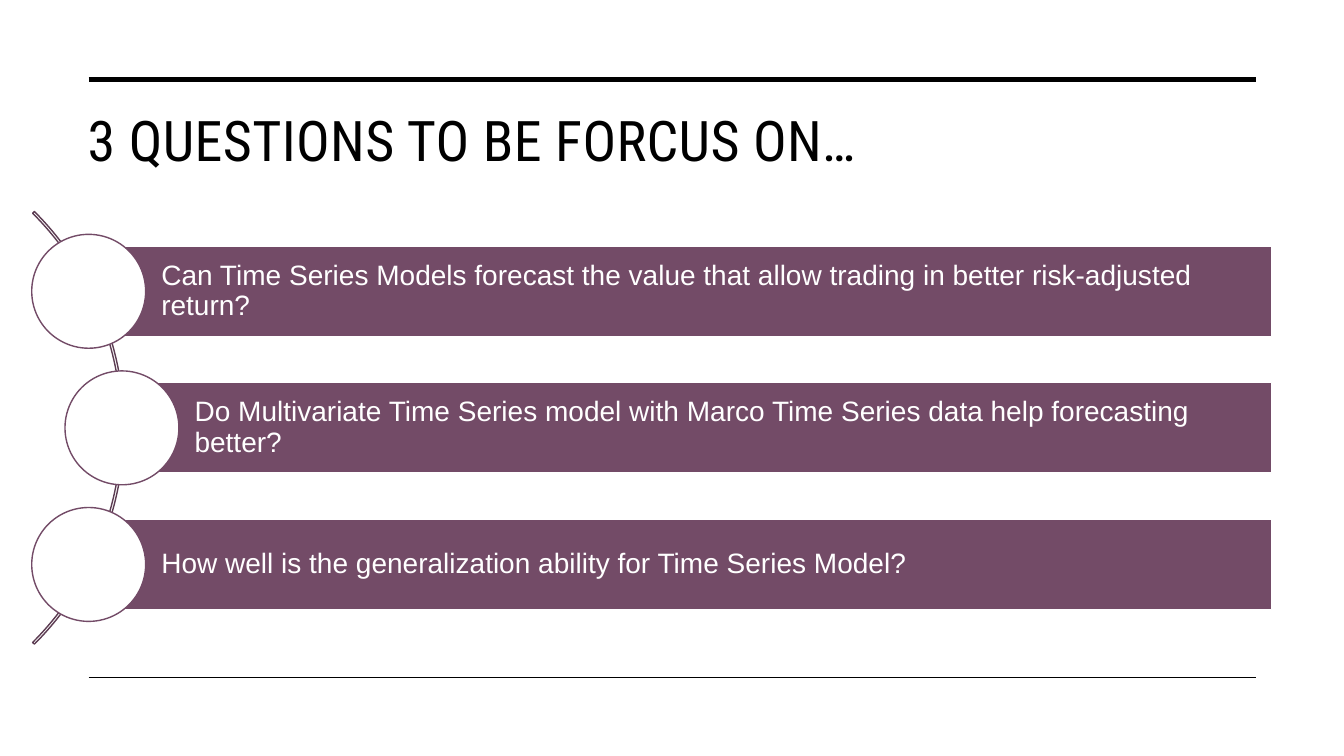
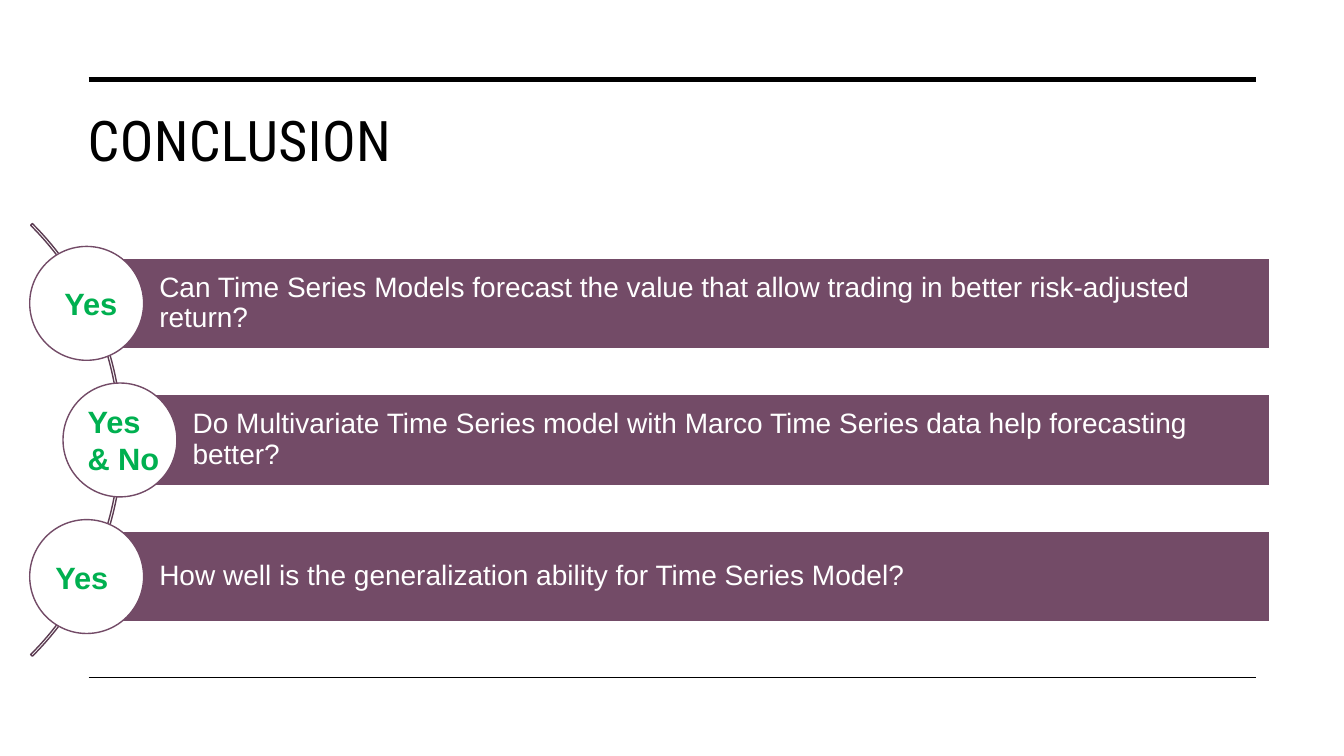
from dataclasses import dataclass

from lxml.etree import SubElement
from pptx import Presentation
from pptx.dml.color import RGBColor
from pptx.enum.shapes import MSO_CONNECTOR, MSO_SHAPE
from pptx.enum.text import MSO_ANCHOR, MSO_AUTO_SIZE, PP_ALIGN
from pptx.oxml.ns import qn
from pptx.util import Inches, Pt


@dataclass(frozen=True)
class Theme:
    black: RGBColor = RGBColor(0x00, 0x00, 0x00)
    white: RGBColor = RGBColor(0xFF, 0xFF, 0xFF)
    plum: RGBColor = RGBColor(0x73, 0x4B, 0x67)
    dark: RGBColor = RGBColor(0x5C, 0x3C, 0x52)
    green: RGBColor = RGBColor(0x00, 0xB0, 0x50)
    head: str = "Roboto Condensed"
    body: str = "Arial"
    title: Pt = Pt(40)
    text: Pt = Pt(20)
    answer: Pt = Pt(22)


theme = Theme()


def add_shape(slide, kind, left, top, width, height, fill, line):
    shape = slide.shapes.add_shape(
        kind, Inches(left), Inches(top), Inches(width), Inches(height))
    shape.shadow.inherit = False
    if fill is None:
        shape.fill.background()
    else:
        shape.fill.solid()
        shape.fill.fore_color.rgb = fill
    shape.line.color.rgb = line
    shape.line.width = Pt(1)
    return shape


def set_font(para, name, size, color, bold=False):
    font = para.font
    font.name, font.size, font.bold = name, size, bold
    font.color.rgb = color


# Content: title, left and top of the first bar, answers with their places
questions = [
    "Can Time Series Models forecast the value that allow trading in better risk-adjusted return?",
    "Do Multivariate Time Series model with Marco Time Series data help forecasting better?",
    "How well is the generalization ability for Time Series Model?",
]
pages = [
    ("3 QUESTIONS TO BE FORCUS ON…", 0.88, 2.44, []),
    ("CONCLUSION", 0.86, 2.56, [
        (["Yes"], 0.54, 2.78, 0.86, 0.47),
        (["Yes", "& No"], 0.77, 3.95, 1.83, 0.84),
        (["Yes"], 0.45, 5.49, 0.86, 0.47),
    ]),
]

# Sizes of the list
bar_w, bar_h, pitch = 11.73, 0.9, 1.355
indents = [0, 0.33, 0]
disc = 1.13
ring = 6.07

prs = Presentation()
prs.slide_width, prs.slide_height = Inches(13.33), Inches(7.5)
layout = prs.slide_layouts.get_by_name("Title Only")

for heading, left, top, answers in pages:
    slide = prs.slides.add_slide(layout)

    # Rules above and below
    for y, weight in [(0.79, 3.5), (6.72, 1)]:
        rule = slide.shapes.add_connector(
            MSO_CONNECTOR.STRAIGHT, Inches(0.88), Inches(y), Inches(12.46), Inches(y))
        rule.line.color.rgb = theme.black
        rule.line.width = Pt(weight)
        SubElement(rule._element.spPr, qn("a:effectLst"))

    # Title
    title = slide.shapes.title
    title.left, title.top = Inches(0.77), Inches(1)
    title.width, title.height = Inches(11.69), Inches(1.43)
    frame = title.text_frame
    frame.text = heading
    frame.auto_size = MSO_AUTO_SIZE.NONE
    frame.vertical_anchor = MSO_ANCHOR.TOP
    para = frame.paragraphs[0]
    para.alignment = PP_ALIGN.LEFT
    set_font(para, theme.head, theme.title, theme.black)
    para.runs[0].font._element.set("spc", "30")

    # Arc behind the discs, from 315 to 45 degrees
    middle = top + pitch + bar_h / 2
    arc = add_shape(slide, MSO_SHAPE.BLOCK_ARC, left - 5.72, middle - ring / 2,
                    ring, ring, None, theme.dark)
    for i, value in enumerate([189, 27, 0.004]):
        arc.adjustments[i] = value

    # Question bars, each with a disc centred on its left edge
    for i, (question, indent) in enumerate(zip(questions, indents)):
        x, y = left + indent, top + i * pitch
        bar = add_shape(slide, MSO_SHAPE.RECTANGLE, x, y, bar_w - indent, bar_h,
                        theme.plum, theme.white)
        frame = bar.text_frame
        frame.text = question
        frame.word_wrap = True
        frame.vertical_anchor = MSO_ANCHOR.MIDDLE
        frame.margin_left = Inches(0.72)
        frame.margin_top = frame.margin_right = frame.margin_bottom = Inches(0.06)
        para = frame.paragraphs[0]
        para.alignment = PP_ALIGN.LEFT
        para.line_spacing = 0.9
        set_font(para, theme.body, theme.text, theme.white)
        add_shape(slide, MSO_SHAPE.OVAL, x - disc / 2, y + (bar_h - disc) / 2,
                  disc, disc, theme.white, theme.plum)

    # Answers over the discs
    for lines, x, y, width, height in answers:
        box = slide.shapes.add_textbox(Inches(x), Inches(y), Inches(width), Inches(height))
        frame = box.text_frame
        frame.word_wrap = True
        frame.text = "\n".join(lines)
        for para in frame.paragraphs:
            set_font(para, theme.body, theme.answer, theme.green, bold=True)

prs.save("out.pptx")
